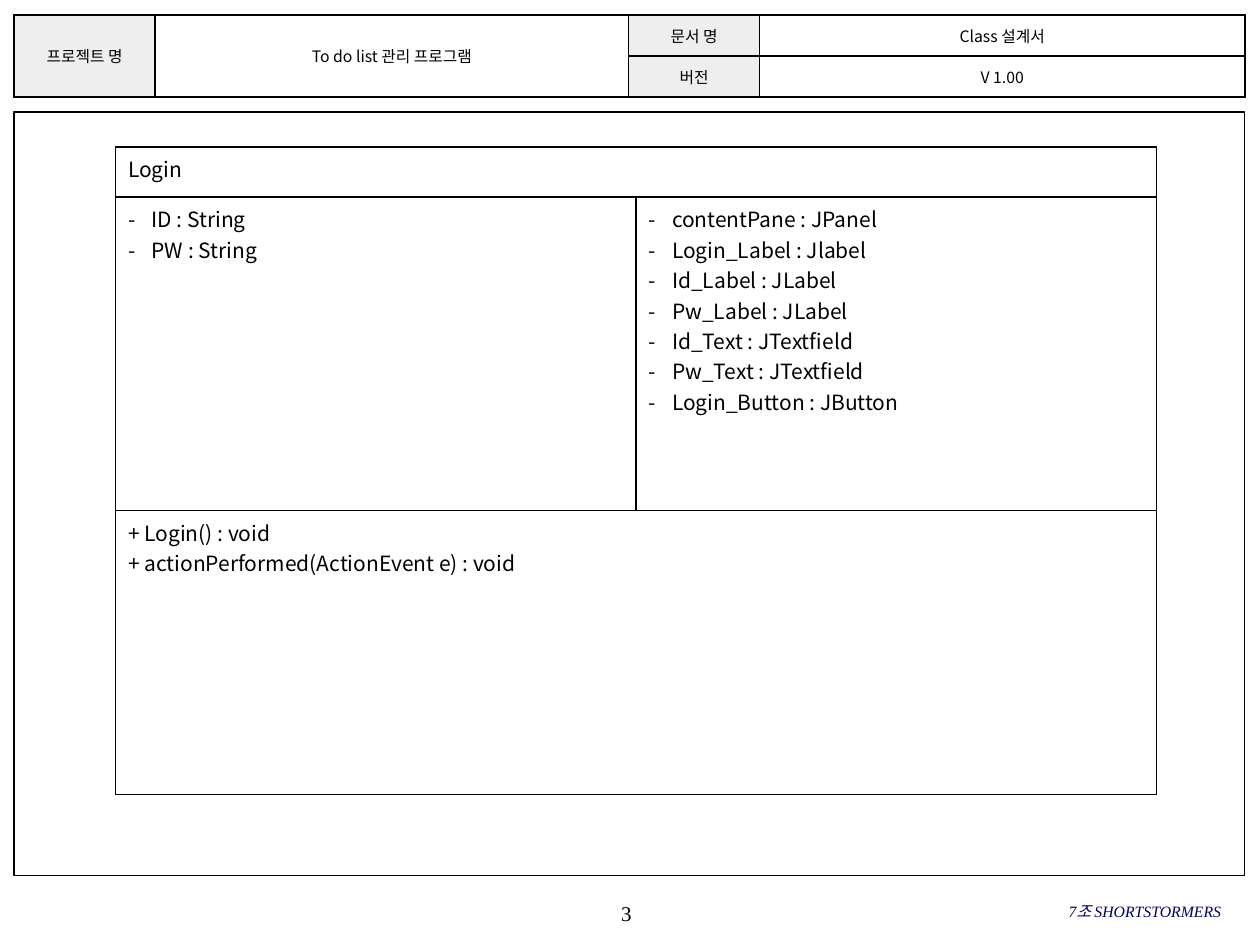
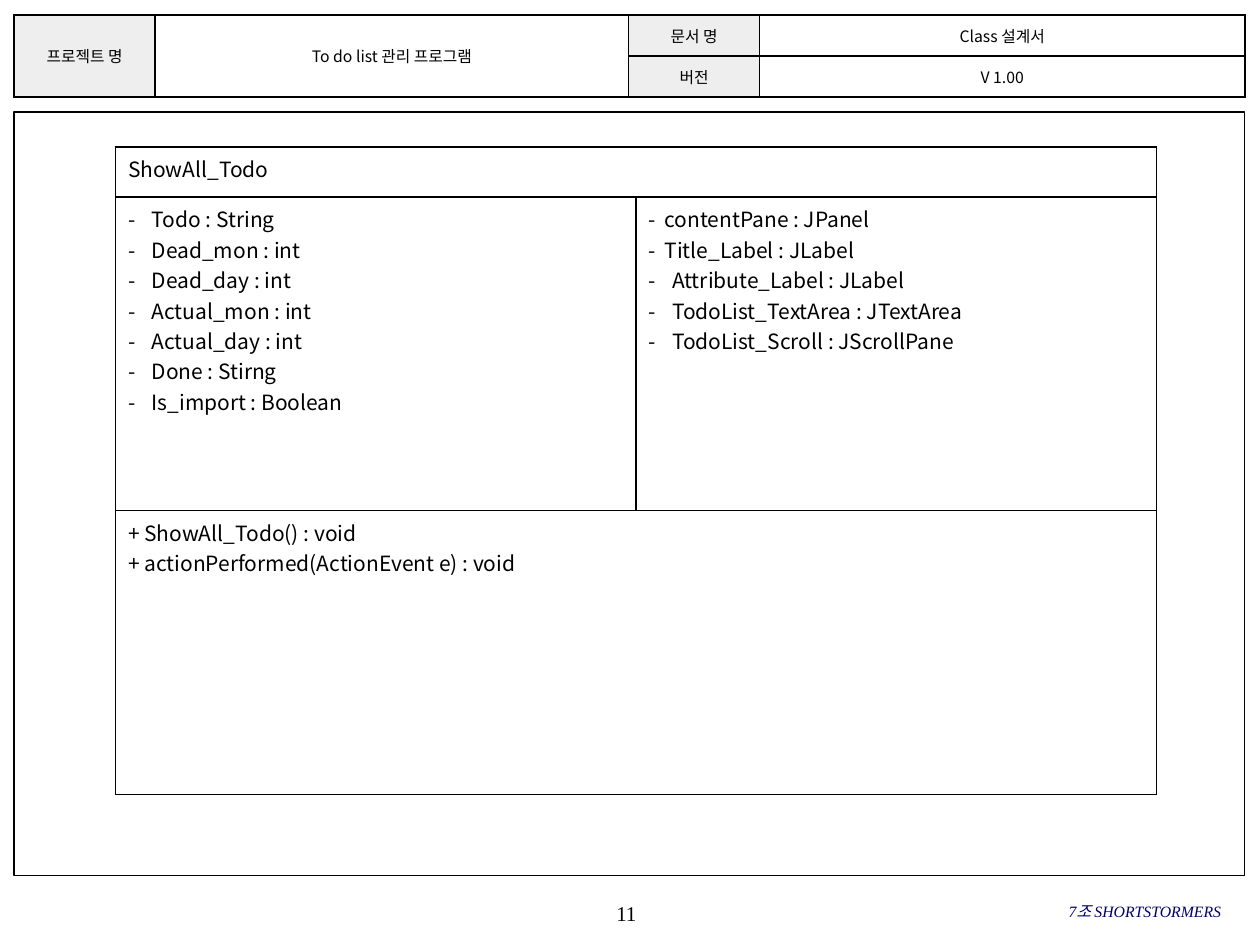
from lxml import etree
from pptx import Presentation
from pptx.dml.color import RGBColor
from pptx.enum import shapes, text
from pptx.oxml import ns
from pptx.util import Pt

BLACK, GREY, NAVY = "000000", "EEEEEE", "000066"
SANS, SERIF = "Noto Sans CJK KR", "Times New Roman"
CENTER, RIGHT = text.PP_ALIGN.CENTER, text.PP_ALIGN.RIGHT
MIDDLE = text.MSO_ANCHOR.MIDDLE

# Boxes: left, top, width, height
HEADER = (8, 8.6, 703.4, 46.8)
FRAME = (8, 64, 703.4, 436.4)
PAGE_NUMBER = (283, 509.8, 149.8, 23.8)
TEAM = (477.4, 509, 220.3, 23.8)
CLASS_BOX = (66, 84, 594.8, 370.1)

HANG = 13.5        # hanging indent of a listed member
SHORT_HANG = 9.2   # tighter hanging indent


def color(hex_string):
    return RGBColor.from_string(hex_string)


def points(box):
    return [Pt(v) for v in box]


def add_run(p, words, size, font=SANS, ink=BLACK, italic=False):
    r = p.add_run()
    r.text = words
    r.font.size = Pt(size)
    r.font.name = font
    r.font.italic = italic
    r.font.color.rgb = color(ink)
    east_asian = etree.SubElement(r.font._element, ns.qn("a:ea"))
    east_asian.set("typeface", SANS)


def add_dash(p, hang):
    pPr = p._p.get_or_add_pPr()
    pPr.set("marL", str(Pt(hang)))
    pPr.set("indent", str(-Pt(hang)))
    etree.SubElement(pPr, ns.qn("a:buFont")).set("typeface", SANS)
    etree.SubElement(pPr, ns.qn("a:buChar")).set("char", "-")


def set_margins(target, across, down):
    target.margin_left = target.margin_right = Pt(across)
    target.margin_top = target.margin_bottom = Pt(down)


def add_borders(cell):
    tcPr = cell._tc.get_or_add_tcPr()
    for side in ("lnL", "lnR", "lnT", "lnB"):
        line = etree.SubElement(tcPr, ns.qn(f"a:{side}"), w=str(Pt(1)))
        fill = etree.SubElement(line, ns.qn("a:solidFill"))
        etree.SubElement(fill, ns.qn("a:srgbClr"), val=BLACK)


def add_grid(s, box, widths, heights):
    """Add an unfilled table with black cell borders."""
    table = s.shapes.add_table(len(heights), len(widths), *points(box)).table
    table.first_row = table.horz_banding = False
    for column, width in zip(table.columns, widths):
        column.width = Pt(width)
    for row, height in zip(table.rows, heights):
        row.height = Pt(height)
    for cell in table.iter_cells():
        add_borders(cell)
        cell.fill.background()
    return table


def add_header(s, box):
    height = box[3] / 2
    label, project, name = 80.6, 270.6, 74.8
    widths = [label, project, name, box[2] - label - project - name]
    table = add_grid(s, box, widths, [height, height])
    for col in (0, 1):
        table.cell(0, col).merge(table.cell(1, col))
    entries = [
        (0, 0, "프로젝트 명"), (0, 1, "To do list 관리 프로그램"),
        (0, 2, "문서 명"), (0, 3, "Class 설계서"),
        (1, 2, "버전"), (1, 3, "V 1.00"),
    ]
    for row, col, words in entries:
        cell = table.cell(row, col)
        set_margins(cell, 2.9, 1.4)
        cell.vertical_anchor = MIDDLE
        p = cell.text_frame.paragraphs[0]
        p.alignment = CENTER
        add_run(p, words, 9)
        if col in (0, 2):  # label columns
            cell.fill.solid()
            cell.fill.fore_color.rgb = color(GREY)


def add_frame(s, box):
    sp = s.shapes.add_shape(shapes.MSO_SHAPE.RECTANGLE, *points(box))
    sp.shadow.inherit = False
    sp.fill.background()
    sp.line.color.rgb = color(BLACK)
    sp.line.width = Pt(0.75)


def add_footer_text(s, box, words, align, size, **style):
    tf = s.shapes.add_textbox(*points(box)).text_frame
    tf.word_wrap = True
    tf.vertical_anchor = MIDDLE
    set_margins(tf, 0, 0)
    p = tf.paragraphs[0]
    p.alignment = align
    add_run(p, words, size, SERIF, **style)


def fill_lines(cell, lines, hangs=None):
    """Write one paragraph per line, dashed where a hanging indent is given."""
    tf = cell.text_frame
    for i, words in enumerate(lines):
        p = tf.add_paragraph() if i else tf.paragraphs[0]
        if hangs:
            add_dash(p, hangs[i])
        add_run(p, words, 12)


def add_class_box(s, box, name, fields, widgets, methods, tight_widgets):
    name_height, field_height = 28.6, 179.1
    heights = [name_height, field_height, box[3] - name_height - field_height]
    table = add_grid(s, box, [box[2] / 2] * 2, heights)
    for row in (0, 2):
        table.cell(row, 0).merge(table.cell(row, 1))
    fill_lines(table.cell(0, 0), [name])
    fill_lines(table.cell(1, 0), fields, [HANG] * len(fields))
    widget_hangs = [SHORT_HANG if i < tight_widgets else HANG
                    for i in range(len(widgets))]
    fill_lines(table.cell(1, 1), widgets, widget_hangs)
    fill_lines(table.cell(2, 0), [f"+ {m} : void" for m in methods])


def add_class_slide(prs, number, name, fields, widgets, tight_widgets=0):
    s = prs.slides.add_slide(prs.slide_layouts[6])
    add_footer_text(s, PAGE_NUMBER, str(number), CENTER, 12)
    add_header(s, HEADER)
    add_frame(s, FRAME)
    add_footer_text(s, TEAM, "7조 SHORTSTORMERS", RIGHT, 9, ink=NAVY, italic=True)
    methods = [f"{name}()", "actionPerformed(ActionEvent e)"]
    add_class_box(s, CLASS_BOX, name, fields, widgets, methods, tight_widgets)


def main():
    prs = Presentation()
    prs.slide_width, prs.slide_height = Pt(720), Pt(540)

    # Login class
    add_class_slide(
        prs, 3, "Login",
        ["ID : String", "PW : String"],
        ["contentPane : JPanel", "Login_Label : Jlabel", "Id_Label : JLabel",
         "Pw_Label : JLabel", "Id_Text : JTextfield", "Pw_Text : JTextfield",
         "Login_Button : JButton"])

    # Class that lists every to-do
    add_class_slide(
        prs, 11, "ShowAll_Todo",
        ["Todo : String", "Dead_mon : int", "Dead_day : int",
         "Actual_mon : int", "Actual_day : int", "Done : Stirng",
         "Is_import : Boolean"],
        ["contentPane : JPanel", "Title_Label : JLabel",
         "Attribute_Label : JLabel", "TodoList_TextArea : JTextArea",
         "TodoList_Scroll : JScrollPane"],
        tight_widgets=2)

    prs.save("out.pptx")


if __name__ == "__main__":
    main()
